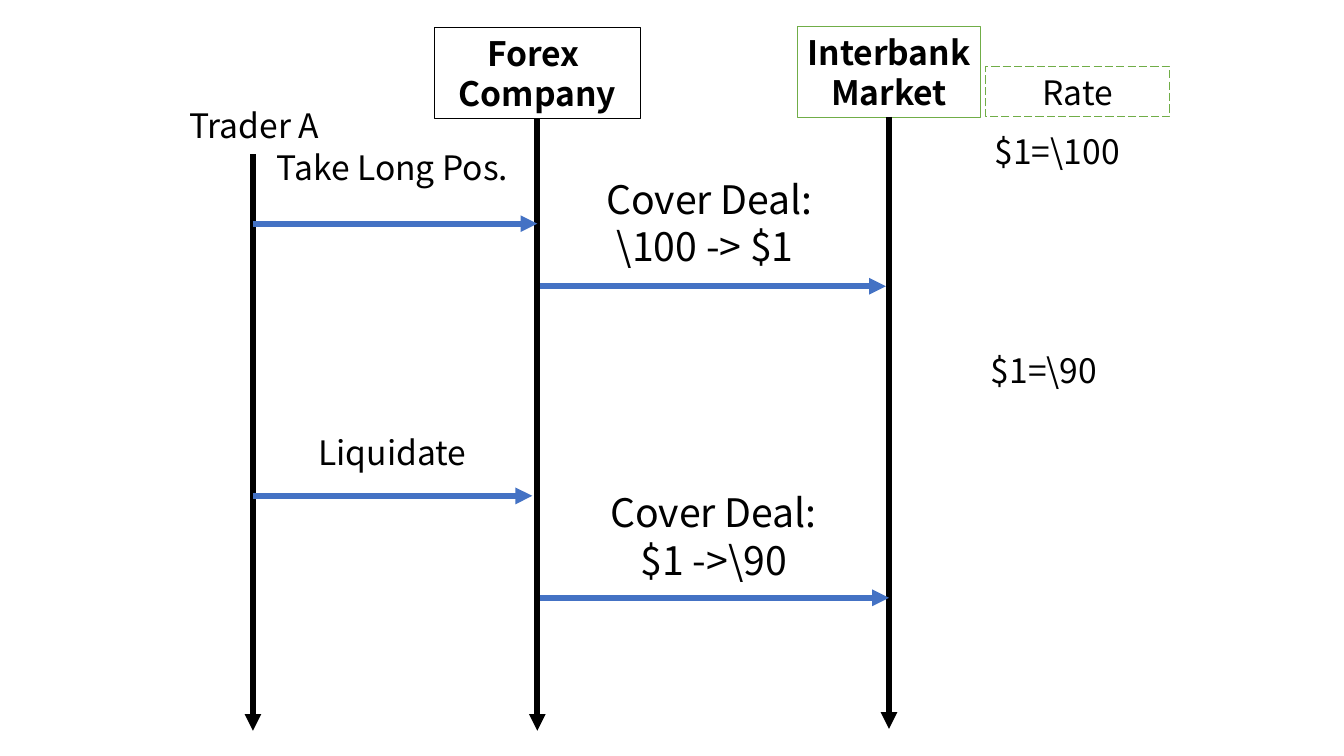
from lxml import etree
from pptx import Presentation
from pptx.dml.color import RGBColor
from pptx.enum.dml import MSO_LINE_DASH_STYLE as Dash
from pptx.enum.shapes import MSO_CONNECTOR as Connector, MSO_SHAPE as Shape
from pptx.enum.text import MSO_ANCHOR as Anchor, PP_ALIGN as Align
from pptx.oxml.ns import qn
from pptx.util import Pt

BLACK = RGBColor(0x00, 0x00, 0x00)
BLUE = RGBColor(0x44, 0x72, 0xC4)
GREEN = RGBColor(0x70, 0xAD, 0x47)
FONT = "Noto Sans CJK JP"

TRADER_X, COMPANY_X, MARKET_X = 180.7, 383.8, 635
LABEL_HEIGHT = 36
DEAL_WIDTH, DEAL_HEIGHT = 204.5, 75


def write_lines(frame, lines, size, align, bold=False):
    frame.word_wrap = True
    for index, line in enumerate(lines):
        paragraph = frame.paragraphs[0] if index == 0 else frame.add_paragraph()
        paragraph.alignment = align
        run = paragraph.add_run()
        run.text = line
        run.font.name = FONT
        run.font.size = Pt(size)
        run.font.bold = bold
        run.font.color.rgb = BLACK


def add_header(slide, box, lines, color, bold=True, dash=None):
    header = slide.shapes.add_shape(Shape.RECTANGLE, *map(Pt, box))
    header.shadow.inherit = False
    header.fill.background()
    header.line.color.rgb = color
    header.line.width = Pt(0.75)
    if dash is not None:
        header.line.dash_style = dash
    header.text_frame.vertical_anchor = Anchor.MIDDLE
    write_lines(header.text_frame, lines, 24, Align.CENTER, bold)


def add_label(slide, box, lines, size=24, align=Align.LEFT):
    label = slide.shapes.add_textbox(*map(Pt, box))
    write_lines(label.text_frame, lines, size, align)


def add_cover_deal(slide, left, top, exchange):
    box = (left, top, DEAL_WIDTH, DEAL_HEIGHT)
    add_label(slide, box, ["Cover Deal:", exchange], 28, Align.CENTER)


def add_arrow(slide, start, end, color):
    arrow = slide.shapes.add_connector(Connector.STRAIGHT, *map(Pt, start + end))
    arrow.line.color.rgb = color
    arrow.line.width = Pt(4)
    etree.SubElement(arrow.line._get_or_add_ln(), qn("a:tailEnd"), type="triangle")
    etree.SubElement(arrow._element.spPr, qn("a:effectLst"))


def add_lifeline(slide, x, top, bottom):
    add_arrow(slide, (x, top), (x, bottom), BLACK)


def add_message(slide, start_x, end_x, y):
    add_arrow(slide, (start_x, y), (end_x, y), BLUE)


def main():
    prs = Presentation()
    prs.slide_width, prs.slide_height = Pt(960), Pt(540)
    slide = prs.slides.add_slide(prs.slide_layouts[6])

    add_header(slide, (310.3, 19.4, 147, 65.5), ["Forex ", "Company"], BLACK)
    add_header(slide, (569.5, 18.7, 131, 65.5), ["Interbank Market"], GREEN)
    add_header(slide, (704.2, 47.5, 131, LABEL_HEIGHT), ["Rate"], GREEN,
               bold=False, dash=Dash.LONG_DASH)

    add_lifeline(slide, TRADER_X, 110.2, 522)
    add_lifeline(slide, COMPANY_X, 85, 522)
    add_lifeline(slide, MARKET_X, 83.5, 520.6)

    add_message(slide, TRADER_X, COMPANY_X, 159.8)
    add_message(slide, COMPANY_X + 2.2, MARKET_X - 2.2, 204.5)
    add_message(slide, TRADER_X, COMPANY_X - 3.6, 354.2)
    add_message(slide, COMPANY_X + 2.2, MARKET_X, 427)

    for left, top, width, wording in (
        (128.2, 71.3, 131, "Trader A"),
        (190.8, 101.5, 197.3, "Take Long Pos."),
        (220.3, 305.3, 129.6, "Liquidate"),
        (703.4, 90, 131, "$1=\\100"),
        (700.6, 246.2, 118.8, "$1=\\90"),
    ):
        add_label(slide, (left, top, width, LABEL_HEIGHT), [wording])

    add_cover_deal(slide, 404.6, 121.7, "\\100 -> $1 ")
    add_cover_deal(slide, 407.5, 345.6, "$1 ->\\90")

    prs.save("out.pptx")


if __name__ == "__main__":
    main()
